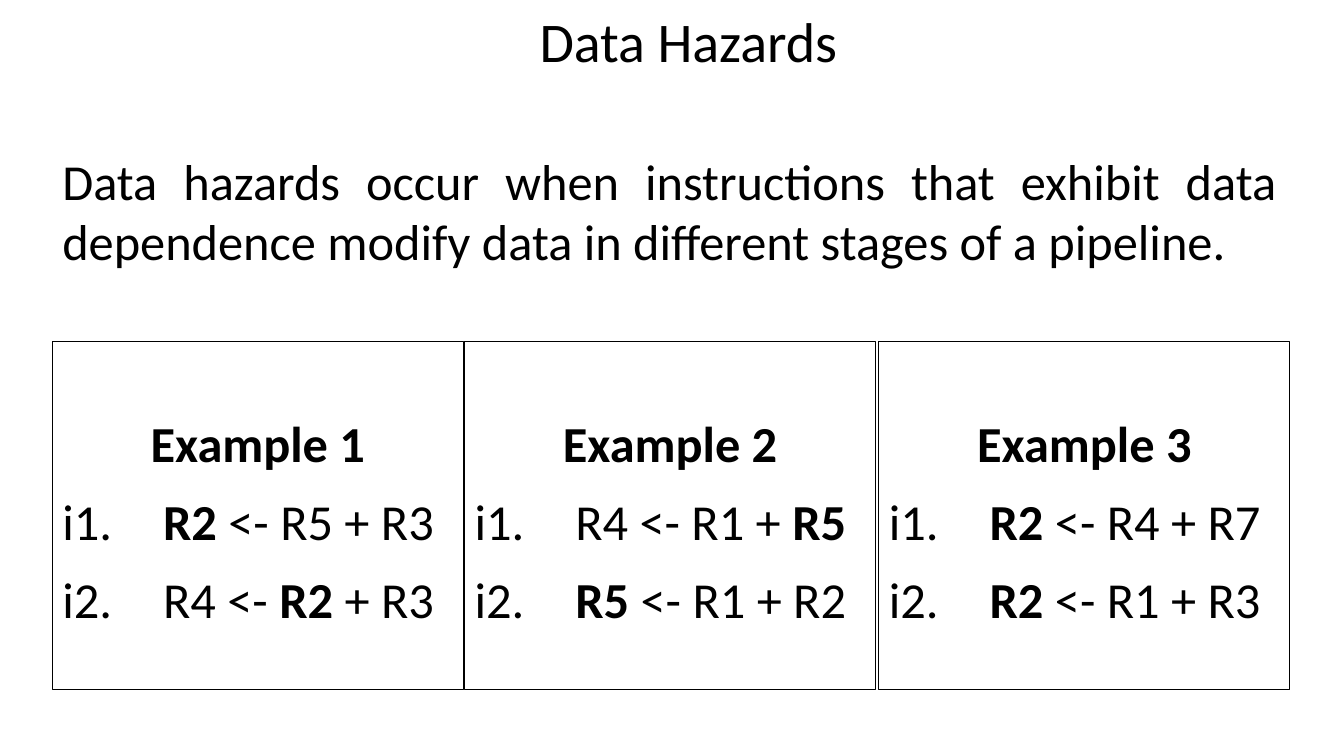
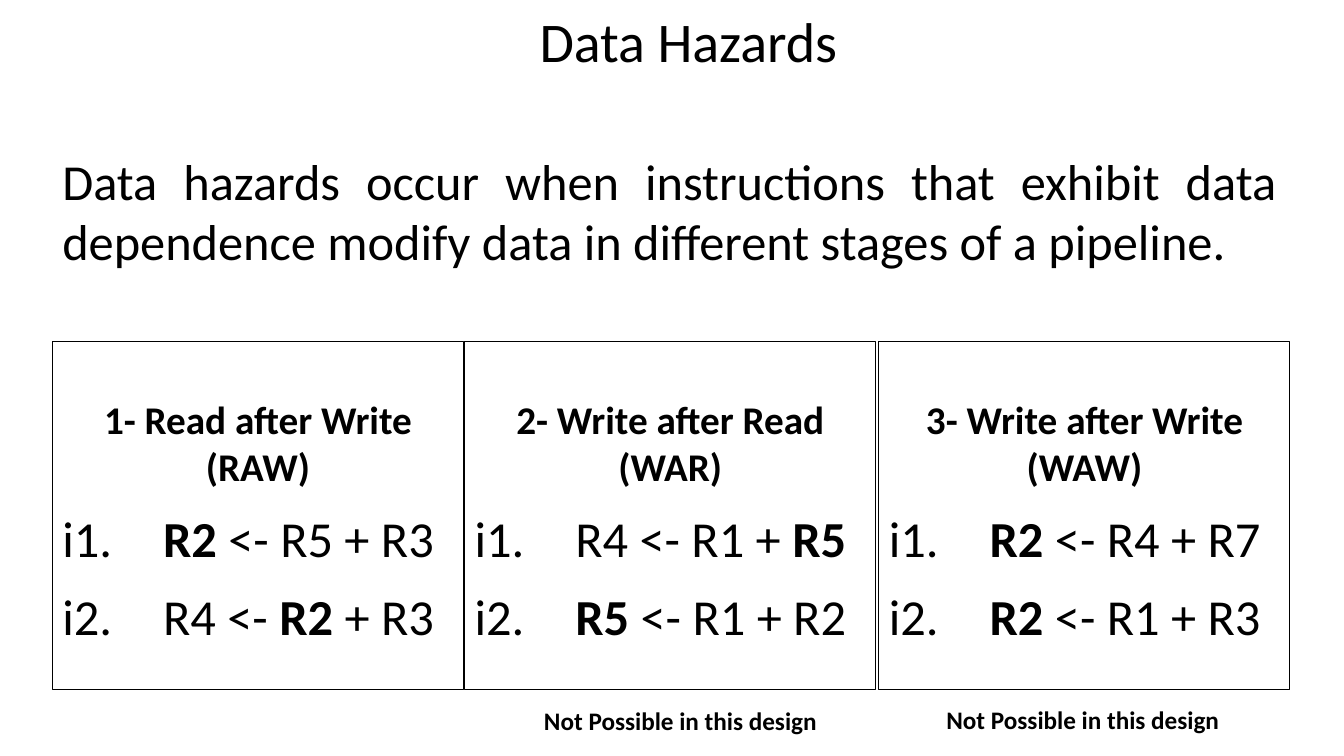
from pptx import Presentation
from pptx.dml.color import RGBColor
from pptx.enum.shapes import MSO_SHAPE as Shape
from pptx.enum.text import MSO_ANCHOR as Anchor, MSO_AUTO_SIZE as AutoSize, PP_ALIGN as Align
from pptx.oxml.ns import qn
from pptx.util import Cm, Pt
from lxml import etree

BLACK = RGBColor(0x00, 0x00, 0x00)
FONT = "Calibri"
TITLE_SIZE, BODY_SIZE, LABEL_SIZE, CAPTION_SIZE = 40, 36, 28, 18

TITLE = "Data Hazards"
DEFINITION = ("Data hazards occur when instructions that exhibit data dependence "
              "modify data in different stages of a pipeline.")
NOT_POSSIBLE = "Not Possible in this design"

# Asterisks enclose the registers shown in bold
INSTRUCTIONS = [
    ("i1.\t*R2* <- R5 + R3", "i2.\tR4 <- *R2* + R3"),
    ("i1.\tR4 <- R1 + *R5*", "i2.\t*R5* <- R1 + R2"),
    ("i1.\t*R2* <- R4 + R7", "i2.\t*R2* <- R1 + R3"),
]
EXAMPLES = ["Example 1", "Example 2", "Example 3"]
HAZARDS = ["1- Read after Write (RAW)", "2- Write after Read (WAR)", "3- Write after Write (WAW)"]

BOX_LEFTS = (1.32, 11.71, 22.15)
BOX_TOP, BOX_WIDTH, BOX_HEIGHT = 8.61, 10.36, 8.76
CAPTION_PLACES = ((13.46, 17.65), (23.6, 17.63))


def add_text(frame, text, size=BODY_SIZE, align=Align.LEFT, bold=False,
             before=0, after=0, tab=None):
    """Write one paragraph; asterisks switch bold on and off."""
    paragraph = frame.paragraphs[0]
    if paragraph.runs:
        paragraph = frame.add_paragraph()
    paragraph.alignment = align
    paragraph.space_before, paragraph.space_after = Pt(before), Pt(after)
    if tab:
        tab_list = etree.SubElement(paragraph._p.get_or_add_pPr(), qn("a:tabLst"))
        etree.SubElement(tab_list, qn("a:tab"), pos=str(Cm(tab)), algn="l")
    for index, part in enumerate(text.split("*")):
        if part:
            run = paragraph.add_run()
            run.text = part
            run.font.name, run.font.size = FONT, Pt(size)
            run.font.bold = bold or index % 2 == 1
            run.font.color.rgb = BLACK


class Deck:
    def __init__(self):
        self.presentation = Presentation()
        self.presentation.slide_width = Cm(33.87)
        self.presentation.slide_height = Cm(19.05)
        self.slide = None

    def text_box(self, left, top, width, height, inset=0.13):
        shape = self.slide.shapes.add_textbox(Cm(left), Cm(top), Cm(width), Cm(height))
        frame = shape.text_frame
        frame.word_wrap = True
        frame.vertical_anchor = Anchor.MIDDLE
        frame.margin_top = Cm(inset)
        return frame

    def new_slide(self):
        """Start a slide with the shared title and definition."""
        self.slide = self.presentation.slides.add_slide(self.presentation.slide_layouts[6])
        add_text(self.text_box(3.43, 0, 27.84, 2.03), TITLE,
                 size=TITLE_SIZE, align=Align.CENTER)
        add_text(self.text_box(1.32, 2.03, 31.12, 6.3, inset=0.36), DEFINITION,
                 align=Align.JUSTIFY, after=6)

    def example_box(self, left, heading, instructions, heading_size):
        shape = self.slide.shapes.add_shape(
            Shape.RECTANGLE, Cm(left), Cm(BOX_TOP), Cm(BOX_WIDTH), Cm(BOX_HEIGHT))
        shape.shadow.inherit = False
        shape.fill.background()
        shape.line.color.rgb = BLACK
        shape.line.width = Pt(0.75)
        frame = shape.text_frame
        frame.word_wrap = True
        frame.vertical_anchor = Anchor.MIDDLE
        frame.margin_top = Cm(0.36)
        add_text(frame, heading, size=heading_size, align=Align.CENTER, bold=True, after=6)
        for instruction in instructions:
            add_text(frame, instruction, align=Align.JUSTIFY, before=6.5, after=6, tab=2.54)

    def example_row(self, headings, heading_size):
        for left, heading, instructions in zip(BOX_LEFTS, headings, INSTRUCTIONS):
            self.example_box(left, heading, instructions, heading_size)

    def caption(self, left, top, text):
        frame = self.text_box(left, top, 7.75, 1.02)
        frame.word_wrap = False
        frame.auto_size = AutoSize.SHAPE_TO_FIT_TEXT
        frame.vertical_anchor = Anchor.TOP
        add_text(frame, text, size=CAPTION_SIZE, bold=True)


def main():
    deck = Deck()

    # Examples of data hazards
    deck.new_slide()
    deck.example_row(EXAMPLES, BODY_SIZE)

    # The same examples with their hazard types
    deck.new_slide()
    deck.example_row(HAZARDS, LABEL_SIZE)
    for left, top in CAPTION_PLACES:
        deck.caption(left, top, NOT_POSSIBLE)

    deck.presentation.save("out.pptx")


if __name__ == "__main__":
    main()
